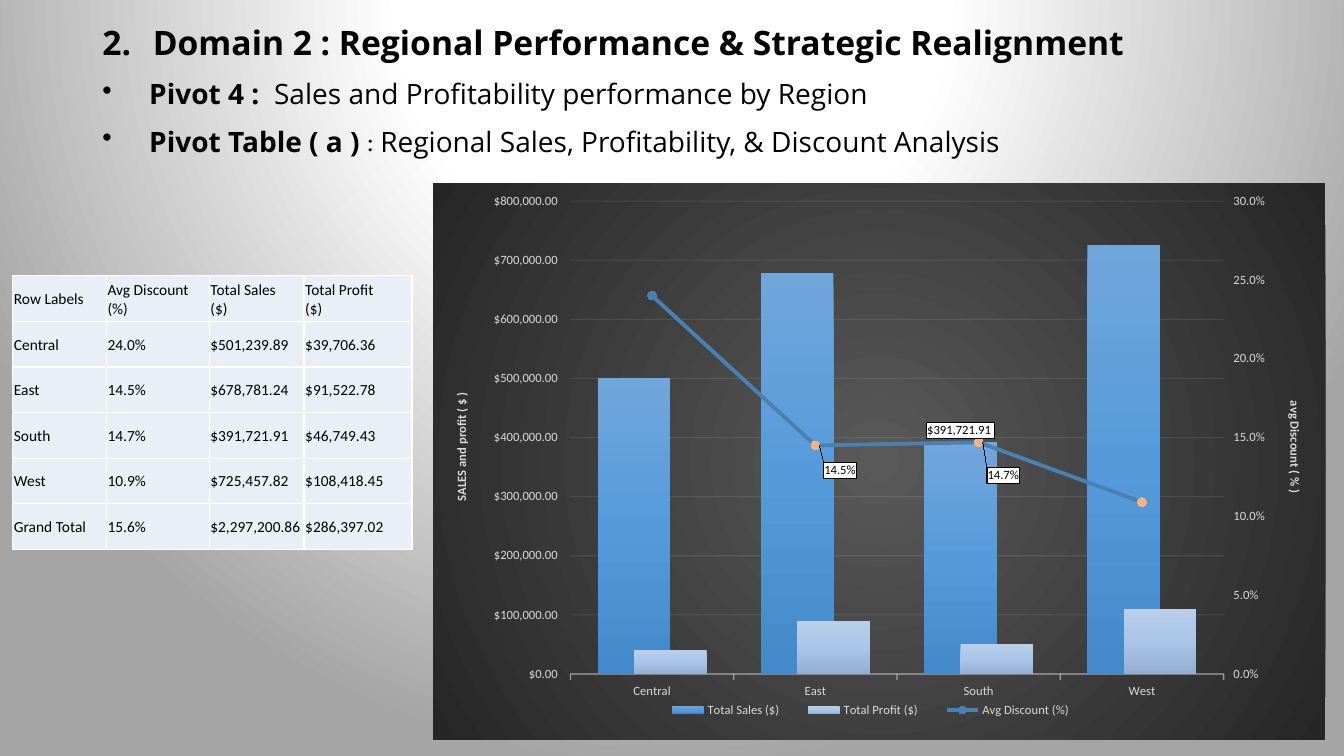
from lxml.etree import SubElement
from pptx import Presentation
from pptx.chart.axis import ValueAxis
from pptx.chart.data import CategoryChartData
from pptx.dml.color import RGBColor
from pptx.dml.fill import FillFormat
from pptx.dml.line import LineFormat
from pptx.enum.chart import (XL_CHART_TYPE, XL_LABEL_POSITION, XL_LEGEND_POSITION,
                             XL_MARKER_STYLE, XL_TICK_MARK)
from pptx.enum.text import MSO_ANCHOR
from pptx.oxml import parse_xml
from pptx.oxml.ns import nsdecls, qn
from pptx.util import Cm, Pt

NS = nsdecls("a", "c")
DOLLARS, PERCENT = '"$"#,##0.00_);[Red]\\("$"#,##0.00\\)', "0.0%"


def paint(fill, *colors, at=(0, 100), shade="", alpha=100):
    """Fill with one colour, or with a gradient whose stops lie at the given percentages."""
    if len(colors) == 1:
        fill.solid()
        fill.fore_color.rgb = RGBColor.from_string(colors[0])
        if alpha < 100:
            tone = fill._xPr.find(qn("a:solidFill"))[0]
            SubElement(tone, qn("a:alpha")).set("val", str(alpha * 1000))
        return
    fill.background()
    stops = "".join(f'<a:gs pos="{pos * 1000}"><a:srgbClr val="{color}"/></a:gs>'
                    for pos, color in zip(at, colors))
    gradient = parse_xml(f"<a:gradFill {NS}><a:gsLst>{stops}</a:gsLst>{shade}</a:gradFill>")
    fill._xPr.replace(fill._xPr.find(qn("a:noFill")), gradient)


def place(part, index, modes="", **box):
    """Give a chart part a manual layout, in fractions of the chart."""
    for old in part.findall(qn("c:layout")):
        part.remove(old)
    sides = "".join(f'<c:{side} val="{value}"/>' for side, value in box.items())
    part.insert(index, parse_xml(
        f"<c:layout {NS}><c:manualLayout>{modes}{sides}</c:manualLayout></c:layout>"))


prs = Presentation()
prs.slide_width, prs.slide_height = Cm(33.86), Cm(19.05)
slide = prs.slides.add_slide(prs.slide_layouts[6])
paint(slide.background.fill, "FFFFFF", "FFFFFF", "A5A5A5", at=(0, 35, 100),
      shade='<a:path path="circle"><a:fillToRect l="50000" t="-80000" r="50000" b="180000"/></a:path>')

# Headings: indent, bullet, size, then runs of text, bold, font
SANS = "Open Sans"
DOT = f'<a:buChar {NS} char="•"/>'
headings = [
    (1.27, f'<a:buAutoNum {NS} type="arabicPeriod" startAt="2"/>', 24,
     [("Domain 2 : Regional Performance & Strategic Realignment", True, SANS)]),
    (1.18, DOT, 20,
     [("Pivot 4 :  ", True, SANS),
      ("Sales and Profitability performance by Region", False, SANS)]),
    (1.18, DOT, 20,
     [("Pivot Table ( a ) ", True, SANS), (": ", False, "Karla"),
      ("Regional Sales, Profitability, & Discount Analysis", False, SANS)]),
]
heading_frame = slide.shapes.add_textbox(Cm(2.33), Cm(0.44), Cm(29.2), Cm(3.9)).text_frame
heading_frame.word_wrap = True
for number, (indent, bullet, size, runs) in enumerate(headings):
    heading = heading_frame.add_paragraph() if number else heading_frame.paragraphs[0]
    heading.space_before = Pt(10 if number else 0)
    properties = heading._p.get_or_add_pPr()
    properties.set("marL", str(Cm(indent)))
    properties.set("indent", str(-Cm(indent)))
    properties.append(parse_xml(bullet))
    for text, bold, font_name in runs:
        run = heading.add_run()
        run.text = text
        run.font.size, run.font.bold, run.font.name = Pt(size), bold, font_name
        paint(run.font.fill, "000000")

# Pivot table
pivot_rows = [
    ("Row Labels", "Avg Discount\n(%)", "Total Sales\n($)", "Total Profit\n($)"),
    ("Central", "24.0%", "$501,239.89", "$39,706.36"),
    ("East", "14.5%", "$678,781.24", "$91,522.78"),
    ("South", "14.7%", "$391,721.91", "$46,749.43"),
    ("West", "10.9%", "$725,457.82", "$108,418.45"),
    ("Grand Total", "15.6%", "$2,297,200.86", "$286,397.02"),
]
pivot = slide.shapes.add_table(6, 4, Cm(0.32), Cm(6.95), Cm(10.06), Cm(6.9)).table
for column, width in zip(pivot.columns, (2.36, 2.59, 2.39, 2.72)):
    column.width = Cm(width)
for r, row in enumerate(pivot_rows):
    pivot.rows[r].height = Cm(1.15)
    for c, text in enumerate(row):
        cell = pivot.cell(r, c)
        cell.vertical_anchor = MSO_ANCHOR.MIDDLE
        cell.margin_left = cell.margin_right = cell.margin_top = Cm(0.03)
        cell.margin_bottom = 0
        for number, line in enumerate(text.split("\n")):
            frame = cell.text_frame
            paragraph = frame.add_paragraph() if number else frame.paragraphs[0]
            run = paragraph.add_run()
            run.text = line
            run.font.size, run.font.bold, run.font.name = Pt(11), False, "Calibri"
            paint(run.font.fill, "000000")
        borders = cell._tc.get_or_add_tcPr()
        for side in ("lnL", "lnR", "lnT", "lnB"):
            borders.append(parse_xml(
                f'<a:{side} {NS} w="12700"><a:solidFill><a:srgbClr val="FFFFFF"/>'
                f"</a:solidFill></a:{side}>"))
        paint(cell.fill, "EAEFF7")

# Chart: columns for sales and profit, a line on the right axis for discount
data = CategoryChartData()
data.categories = ["Central", "East", "South", "West"]
data.add_series("Total Sales ($)", (501239.89, 678781.24, 391721.91, 725457.82), DOLLARS)
data.add_series("Total Profit ($)", (40000, 90000, 50000, 110000), DOLLARS)
data.add_series("Avg Discount (%)", (0.24, 0.145, 0.147, 0.109), PERCENT)
chart = slide.shapes.add_chart(XL_CHART_TYPE.COLUMN_CLUSTERED, Cm(10.91), Cm(4.62),
                               Cm(22.48), Cm(14.02), data).chart
chart.has_title = False
chart.font.size, chart.font.name = Pt(9), "Calibri"
paint(chart.font.fill, "D9D9D9")
backdrop = parse_xml(f"<c:spPr {NS}/>")
chart._chartSpace.chart.addnext(backdrop)
paint(FillFormat.from_fill_parent(backdrop), "595959", "262626",
      shade='<a:path path="circle"><a:fillToRect l="50000" t="50000" r="50000" b="50000"/></a:path>')
LineFormat(backdrop).fill.background()

plot_area = chart._chartSpace.chart.plotArea
columns = chart.plots[0]
discount_ser = columns.series[2]._element
for flag in discount_ser.findall(qn("c:invertIfNegative")):
    discount_ser.remove(flag)
line_chart = parse_xml(
    f'<c:lineChart {NS}><c:grouping val="standard"/><c:varyColors val="0"/>'
    '<c:marker val="1"/><c:axId val="5001"/><c:axId val="5002"/></c:lineChart>')
line_chart.insert(2, discount_ser)
columns._element.addnext(line_chart)
left_axis = chart.value_axis
for kind, ids, position, hidden, crosses in (("catAx", (5001, 5002), "b", 1, "autoZero"),
                                             ("valAx", (5002, 5001), "r", 0, "max")):
    axis_xml = parse_xml(
        f'<c:{kind} {NS}><c:axId val="{ids[0]}"/><c:scaling><c:orientation val="minMax"/>'
        f'</c:scaling><c:delete val="{hidden}"/><c:axPos val="{position}"/>'
        f'<c:tickLblPos val="nextTo"/><c:crossAx val="{ids[1]}"/>'
        f'<c:crosses val="{crosses}"/></c:{kind}>')
    left_axis._element.addnext(axis_xml)
right_axis = ValueAxis(axis_xml)

EDGE = '<c:xMode val="edge"/><c:yMode val="edge"/>'
for axis, title, turn, x, y, top, step, number_format in (
        (left_axis, "SALES and profit ( $ )", -90, 0.02, 0.372, 800000, 100000, DOLLARS),
        (right_axis, "avg Discount ( % )", 90, 0.953, 0.387, 0.3, 0.05, PERCENT)):
    axis.minimum_scale, axis.maximum_scale, axis.major_unit = 0, top, step
    axis.major_tick_mark = XL_TICK_MARK.OUTSIDE
    axis.tick_labels.number_format = number_format
    axis.tick_labels.number_format_is_linked = False
    axis.format.line.fill.background()
    title_frame = axis.axis_title.text_frame
    title_frame._txBody.bodyPr.set("rot", str(turn * 60000))
    title_frame._txBody.bodyPr.set("vert", "horz")
    run = title_frame.paragraphs[0].add_run()
    run.text = title
    run.font.size, run.font.bold, run.font.name = Pt(9), True, "Calibri"
    paint(run.font.fill, "D9D9D9")
    place(axis.axis_title._element, 1, EDGE, x=x, y=y)
left_axis.has_major_gridlines = True
right_axis.has_major_gridlines = False
for line, width, alpha in ((left_axis.major_gridlines.format.line, 0.75, 10),
                           (chart.category_axis.format.line, 1, 54)):
    line.width = Pt(width)
    paint(line.fill, "F2F2F2", alpha=alpha)
chart.category_axis.major_tick_mark = XL_TICK_MARK.OUTSIDE
place(plot_area, 0, '<c:layoutTarget val="inner"/>' + EDGE, x=0.154, y=0.032, w=0.732, h=0.85)

chart.has_legend = True
chart.legend.position = XL_LEGEND_POSITION.BOTTOM
chart.legend.include_in_layout = False
place(chart.legend._element, 1, EDGE, x=0.24, y=0.922, w=0.5, h=0.05)

columns.vary_by_categories = False
columns.gap_width, columns.overlap = 75, 50
sales, profit = columns.series
for series, tones in ((sales, ("71A6DB", "559BDB", "448ACA")),
                      (profit, ("B8CEE9", "AAC5E8", "94AFD2"))):
    paint(series.format.fill, *tones, at=(0, 50, 100), shade='<a:lin ang="5400000"/>')

discount = chart.plots[1].series[0]
discount.smooth = False
for number, part in enumerate([discount] + [discount.points[i] for i in (1, 2, 3)]):
    part.format.line.width = Pt(2.75)
    paint(part.format.line.fill, "F4B183" if number else "4B81B1")
    part.marker.style, part.marker.size = XL_MARKER_STYLE.CIRCLE, 6
    for fill in (part.marker.format.fill, part.marker.format.line.fill):
        paint(fill, "F4B183" if number else "4681B6")

for series, point, number_format, position, drop in (
        (sales, 2, DOLLARS, XL_LABEL_POSITION.OUTSIDE_END, 0),
        (discount, 1, PERCENT, XL_LABEL_POSITION.RIGHT, 0.045),
        (discount, 2, PERCENT, XL_LABEL_POSITION.RIGHT, 0.06)):
    series.data_labels.show_value = False
    label = series.points[point].data_label
    label.font.size = Pt(9)
    paint(label.font.fill, "000000")
    label.position = position
    label_xml = label._get_or_add_dLbl()
    label_text = label_xml.find(qn("c:txPr"))
    callout = parse_xml(f"<c:spPr {NS}/>")
    number_xml = parse_xml(f'<c:numFmt {NS} sourceLinked="0"/>')
    number_xml.set("formatCode", number_format)
    label_text.addprevious(number_xml)
    label_text.addprevious(callout)
    paint(FillFormat.from_fill_parent(callout), "FFFFFF")
    outline = LineFormat(callout)
    outline.width = Pt(1)
    paint(outline.fill, "000000")
    if drop:
        place(label_xml, 1, x=0, y=drop)
discount.data_labels._element.append(parse_xml(
    f'<c:extLst {NS}><c:ext uri="{{CE6537A1-D6FC-4f65-9D91-7224C49458BB}}" '
    'xmlns:c15="http://schemas.microsoft.com/office/drawing/2012/chart">'
    '<c15:showLeaderLines val="1"/></c:ext></c:extLst>'))

prs.save("out.pptx")
